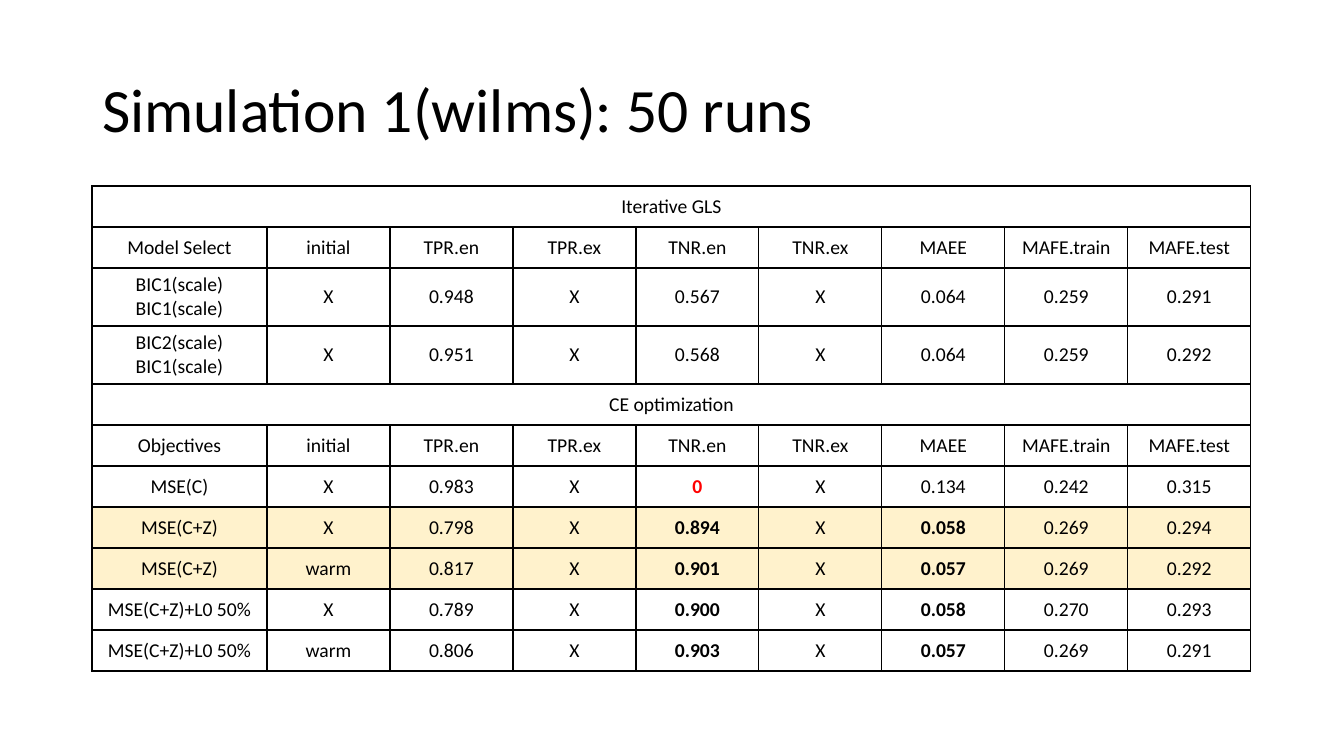
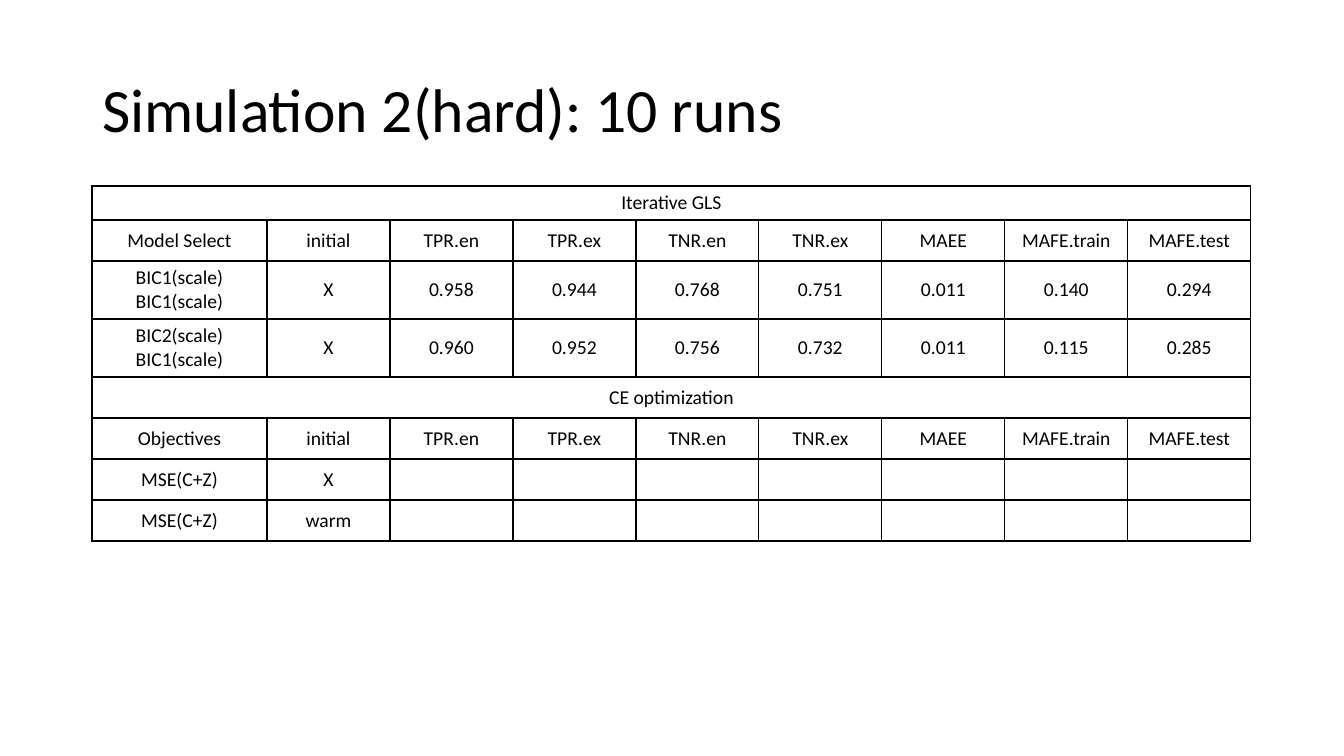
from dataclasses import dataclass

from lxml.etree import SubElement
from pptx import Presentation
from pptx.dml.color import RGBColor
from pptx.enum.text import MSO_ANCHOR as Anchor, MSO_AUTO_SIZE as AutoSize, PP_ALIGN as Align
from pptx.oxml.ns import qn
from pptx.util import Emu, Pt

FONT = "Calibri"
BLACK, RED, CREAM = "000000", "FF0000", "FFF2CC"
TITLE_ONLY = 5
EMU_PER_INCH, PX_PER_INCH = 914400, 100.8

SLIDE_W, SLIDE_H = 1344, 756
LEFT, CONTENT_W = 92, 1159
TITLE_TOP, TITLE_H = 40, 146
TABLE_TOP = TITLE_TOP + TITLE_H
LABEL_W, METRIC_W = 175, 123
ROW_H, TWO_LINE_H, TIGHT_H = 41, 58, 34

METRICS = ("initial", "TPR.en", "TPR.ex", "TNR.en", "TNR.ex", "MAEE", "MAFE.train", "MAFE.test")
COLUMN_COUNT = 1 + len(METRICS)
TNR_EN, MAEE = 1 + METRICS.index("TNR.en"), 1 + METRICS.index("MAEE")


@dataclass(frozen=True)
class Row:
    cells: tuple[str, ...]
    height: int = ROW_H
    fill: str | None = None
    strong: tuple[int, ...] = ()
    strong_color: str = BLACK


@dataclass(frozen=True)
class Simulation:
    title: str
    rows: tuple[Row, ...]


def px(length: int) -> Emu:
    return Emu(round(length * EMU_PER_INCH / PX_PER_INCH))


def rgb(value: str) -> RGBColor:
    return RGBColor.from_string(value)


def result(label: str, values: str, **style) -> Row:
    """Make a row from a label and space-separated values; missing values stay empty."""
    cells = (label, *values.split())
    padding = ("",) * (COLUMN_COUNT - len(cells))
    return Row(cells + padding, **style)


def section(name: str, label: str, *results: Row, height: int = ROW_H) -> tuple[Row, ...]:
    """Put a full-width heading and the column names above the results."""
    return Row((name,), height), Row((label, *METRICS)), *results


BEST = (TNR_EN, MAEE)
SIMULATIONS = (
    Simulation("Simulation 1(wilms): 50 runs", (
        *section(
            "Iterative GLS", "Model Select",
            result("BIC1(scale)\nBIC1(scale)", "X 0.948 X 0.567 X 0.064 0.259 0.291", height=TWO_LINE_H),
            result("BIC2(scale)\nBIC1(scale)", "X 0.951 X 0.568 X 0.064 0.259 0.292", height=TWO_LINE_H),
        ),
        *section(
            "CE optimization", "Objectives",
            result("MSE(C)", "X 0.983 X 0 X 0.134 0.242 0.315", strong=(TNR_EN,), strong_color=RED),
            result("MSE(C+Z)", "X 0.798 X 0.894 X 0.058 0.269 0.294", fill=CREAM, strong=BEST),
            result("MSE(C+Z)", "warm 0.817 X 0.901 X 0.057 0.269 0.292", fill=CREAM, strong=BEST),
            result("MSE(C+Z)+L0 50%", "X 0.789 X 0.900 X 0.058 0.270 0.293", strong=BEST),
            result("MSE(C+Z)+L0 50%", "warm 0.806 X 0.903 X 0.057 0.269 0.291", strong=BEST),
        ),
    )),
    Simulation("Simulation 2(hard): 10 runs", (
        *section(
            "Iterative GLS", "Model Select",
            result("BIC1(scale)\nBIC1(scale)", "X 0.958 0.944 0.768 0.751 0.011 0.140 0.294", height=TWO_LINE_H),
            result("BIC2(scale)\nBIC1(scale)", "X 0.960 0.952 0.756 0.732 0.011 0.115 0.285", height=TWO_LINE_H),
            height=TIGHT_H,
        ),
        *section(
            "CE optimization", "Objectives",
            result("MSE(C+Z)", "X"),
            result("MSE(C+Z)", "warm"),
        ),
    )),
)


def write_text(frame, text: str, *, size: int = 14, color: str = BLACK, bold: bool = False,
               align: Align = Align.CENTER, line_spacing: float = 1.0) -> None:
    frame.text = text
    for paragraph in frame.paragraphs:
        paragraph.alignment = align
        paragraph.line_spacing = line_spacing
        font = paragraph.font
        for run in paragraph.runs:
            font = run.font
            font.name = FONT
            font.size = Pt(size)
            font.bold = bold
            font.color.rgb = rgb(color)


def add_borders(cell) -> None:
    properties = cell._tc.get_or_add_tcPr()
    for side in ("lnL", "lnR", "lnT", "lnB"):
        line = SubElement(properties, qn(f"a:{side}"), w=str(Pt(1)))
        SubElement(SubElement(line, qn("a:solidFill")), qn("a:srgbClr"), val=BLACK)


def format_cell(cell, fill: str | None) -> None:
    add_borders(cell)
    cell.vertical_anchor = Anchor.MIDDLE
    if fill:
        cell.fill.solid()
        cell.fill.fore_color.rgb = rgb(fill)
    else:
        cell.fill.background()


def add_title(slide, text: str) -> None:
    title = slide.shapes.title
    title.left, title.top = px(LEFT), px(TITLE_TOP)
    title.width, title.height = px(CONTENT_W), px(TITLE_H)
    frame = title.text_frame
    frame.auto_size = AutoSize.NONE
    frame.vertical_anchor = Anchor.MIDDLE
    write_text(frame, text, size=44, align=Align.LEFT, line_spacing=0.9)


def add_results(slide, rows: tuple[Row, ...]) -> None:
    height = sum(row.height for row in rows)
    table = slide.shapes.add_table(len(rows), COLUMN_COUNT, px(LEFT), px(TABLE_TOP),
                                   px(CONTENT_W), px(height)).table
    table.first_row = table.horz_banding = False
    for index, column in enumerate(table.columns):
        column.width = px(METRIC_W if index else LABEL_W)
    for row_index, row in enumerate(rows):
        table.rows[row_index].height = px(row.height)
        for column_index in range(COLUMN_COUNT):
            format_cell(table.cell(row_index, column_index), row.fill)
        if len(row.cells) == 1:
            table.cell(row_index, 0).merge(table.cell(row_index, COLUMN_COUNT - 1))
        for column_index, text in enumerate(row.cells):
            strong = column_index in row.strong
            write_text(table.cell(row_index, column_index).text_frame, text, bold=strong,
                       color=row.strong_color if strong else BLACK)


def main() -> None:
    deck = Presentation()
    deck.slide_width, deck.slide_height = px(SLIDE_W), px(SLIDE_H)
    for simulation in SIMULATIONS:
        slide = deck.slides.add_slide(deck.slide_layouts[TITLE_ONLY])
        add_title(slide, simulation.title)
        add_results(slide, simulation.rows)
    deck.save("out.pptx")


if __name__ == "__main__":
    main()
